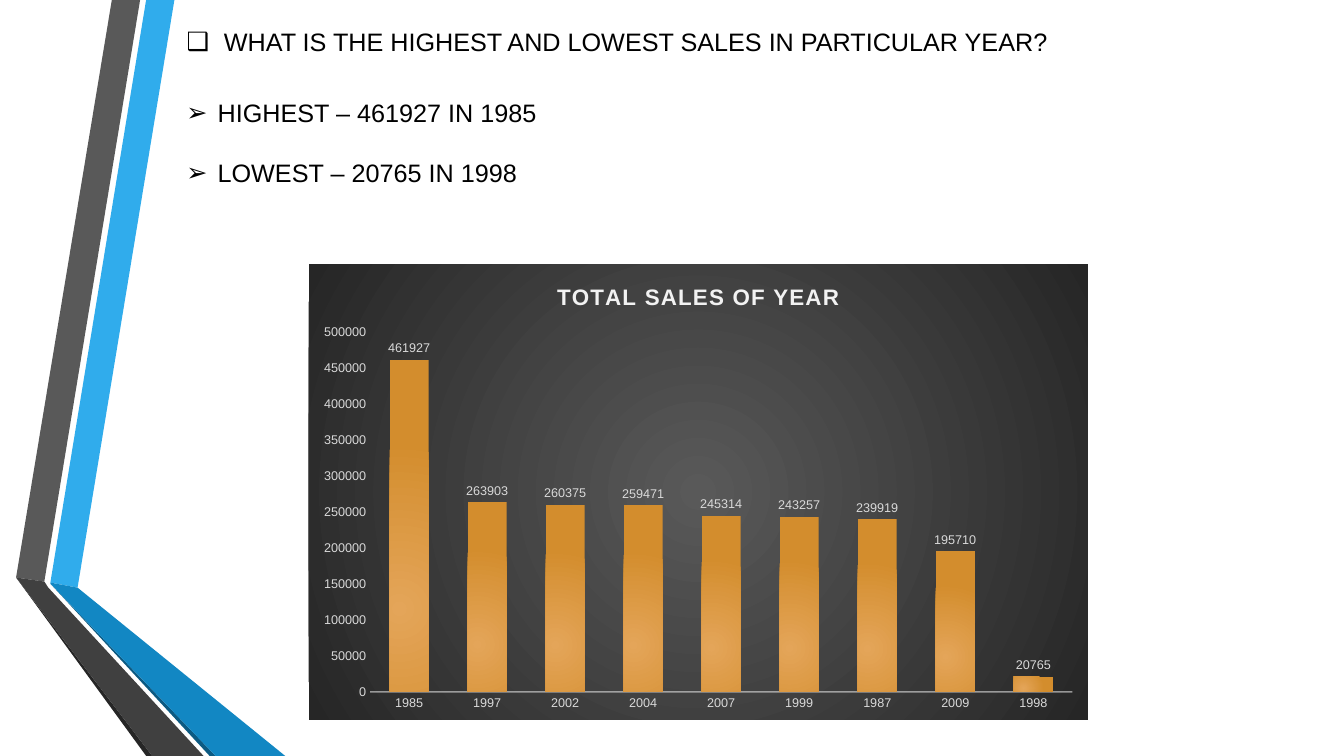
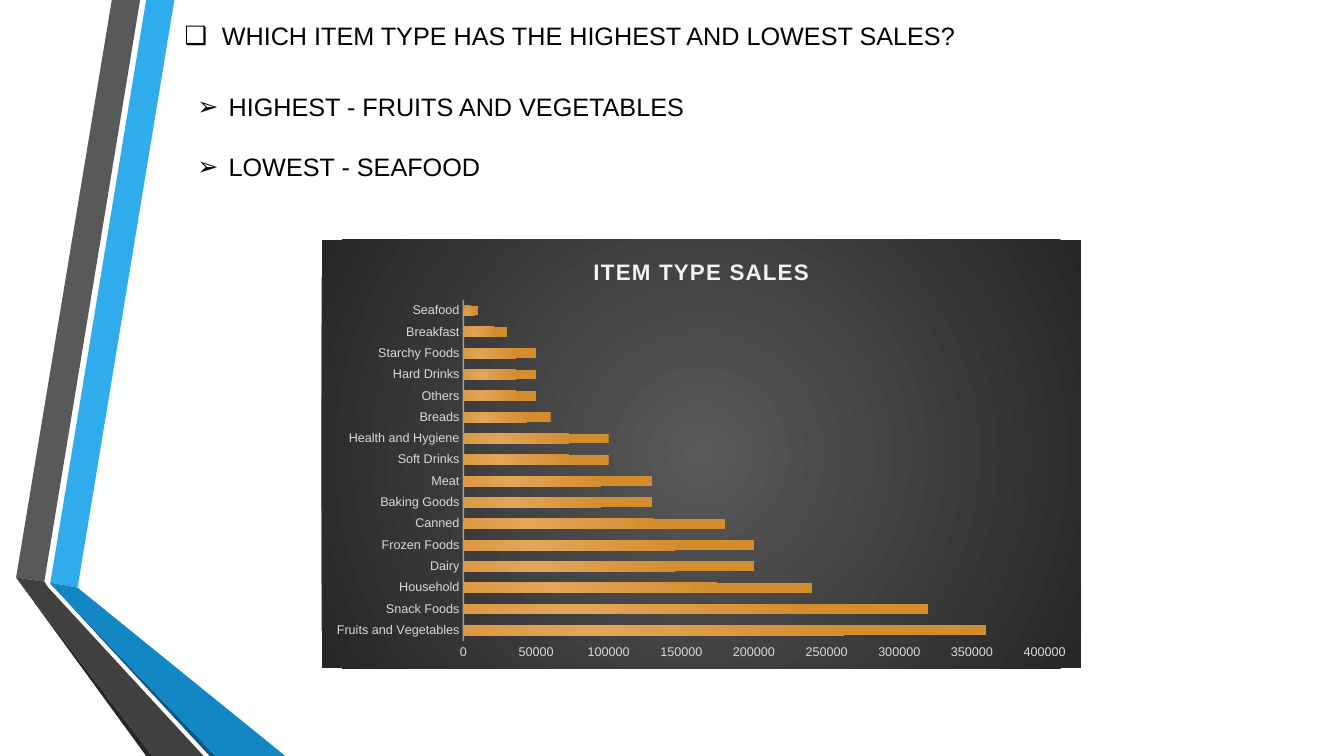
from lxml import etree
from pptx import Presentation
from pptx.chart.data import CategoryChartData
from pptx.dml.color import RGBColor
from pptx.enum.chart import XL_CHART_TYPE, XL_LABEL_POSITION, XL_TICK_MARK
from pptx.enum.text import MSO_ANCHOR, MSO_AUTO_SIZE, PP_ALIGN
from pptx.oxml import parse_xml
from pptx.oxml.ns import nsdecls, qn
from pptx.util import Inches, Pt

COLUMN = XL_CHART_TYPE.COLUMN_CLUSTERED
BAR = XL_CHART_TYPE.BAR_CLUSTERED
OUTSIDE_END = XL_LABEL_POSITION.OUTSIDE_END
NO_TICKS = XL_TICK_MARK.NONE
TOP, LEFT, NO_AUTOSIZE = MSO_ANCHOR.TOP, PP_ALIGN.LEFT, MSO_AUTO_SIZE.NONE

# Shared look
BLACK = RGBColor(0x00, 0x00, 0x00)
PALE = RGBColor(0xF2, 0xF2, 0xF2)
LABEL_GREY = RGBColor(0xD9, 0xD9, 0xD9)
GREY = RGBColor(0x59, 0x59, 0x59)
CHARCOAL = RGBColor(0x40, 0x40, 0x40)
NEAR_BLACK = RGBColor(0x26, 0x26, 0x26)
SKY = RGBColor(0x30, 0xAC, 0xEC)
BLUE = RGBColor(0x12, 0x87, 0xC3)
NAVY = RGBColor(0x0C, 0x5A, 0x82)
LIGHT_ORANGE = RGBColor(0xE4, 0xA5, 0x59)
ORANGE = RGBColor(0xD3, 0x8D, 0x2D)

BODY_FONT = {"name": "Arial", "size": Pt(18), "bold": False}
AXIS_FONT = {"name": "Arial", "size": Pt(9)}
CHART_TITLE_FONT = {"name": "Arial", "size": Pt(16), "bold": True}
QUESTION_BULLET, ANSWER_BULLET = "\u2751", "\u27a2"
QUESTION_INDENT, ANSWER_INDENT = Inches(0.37), Inches(0.31)

# Folded ribbon at the left edge, in inches
RIBBON = [
    (SKY, [(0.5, 5.78), (0.77, 5.83), (1.73, 0), (1.45, 0)]),
    (GREY, [(1.39, 0), (1.11, 0), (0.16, 5.73), (0.44, 5.77)]),
    (NEAR_BLACK, [(0.16, 5.73), (1.45, 7.5), (1.51, 7.5)]),
    (NAVY, [(0.5, 5.79), (2.08, 7.5), (2.14, 7.5)]),
    (BLUE, [(0.5, 5.79), (2.14, 7.5), (2.83, 7.5), (0.77, 5.83), (0.5, 5.78)]),
    (CHARCOAL, [(2.02, 7.5), (0.48, 5.83), (0.44, 5.77), (0.16, 5.73), (1.51, 7.5)]),
]

YEAR_SALES = {
    "1985": 461927, "1997": 263903, "2002": 260375, "2004": 259471, "2007": 245314,
    "1999": 243257, "1987": 239919, "2009": 195710, "1998": 20765,
}
ITEM_SALES = {
    "Fruits and Vegetables": 360000, "Snack Foods": 320000, "Household": 240000,
    "Dairy": 200000, "Frozen Foods": 200000, "Canned": 180000,
    "Baking Goods": 130000, "Meat": 130000, "Soft Drinks": 100000,
    "Health and Hygiene": 100000, "Breads": 60000, "Others": 50000,
    "Hard Drinks": 50000, "Starchy Foods": 50000, "Breakfast": 30000,
    "Seafood": 10000,
}

SLIDES = [
    {
        "question": "WHAT IS THE HIGHEST AND LOWEST SALES IN PARTICULAR YEAR?",
        "question_box": (1.75, 0.21, 9.04, 0.71),
        "answers": ["HIGHEST \u2013 461927 IN 1985", "LOWEST \u2013 20765 IN 1998"],
        "answers_box": (1.75, 0.92, 4.48, 1.01),
        "chart_box": (3.06, 2.62, 7.73, 4.52),
        "chart": {"kind": COLUMN, "title": "TOTAL SALES OF YEAR", "sales": YEAR_SALES,
                  "maximum": 500000, "gap": 100, "overlap": -24, "labels": True},
    },
    {
        "question": "WHICH ITEM TYPE HAS THE HIGHEST AND LOWEST SALES?",
        "question_box": (1.73, 0.15, 8.7, 0.71),
        "answers": ["HIGHEST - FRUITS AND VEGETABLES", "LOWEST - SEAFOOD"],
        "answers_box": (1.86, 0.86, 6.34, 1.31),
        "chart_box": (3.19, 2.38, 7.53, 4.25),
        "chart": {"kind": BAR, "title": "ITEM TYPE SALES", "sales": ITEM_SALES,
                  "maximum": 400000, "gap": 115, "overlap": -20, "labels": False},
    },
]


def set_values(target, values):
    for name, value in values.items():
        setattr(target, name, value)


def format_font(font, values, color):
    set_values(font, values)
    font.color.rgb = color


def place(shape, box):
    set_values(shape, dict(zip(("left", "top", "width", "height"), map(Inches, box))))


def radial_gradient(inner, outer, focus):
    left, top, right, bottom = (percent * 1000 for percent in focus)
    return parse_xml(
        f'<a:gradFill {nsdecls("a")} rotWithShape="1"><a:gsLst>'
        f'<a:gs pos="0"><a:srgbClr val="{inner}"/></a:gs>'
        f'<a:gs pos="100000"><a:srgbClr val="{outer}"/></a:gs></a:gsLst>'
        f'<a:path path="circle"><a:fillToRect l="{left}" t="{top}" r="{right}" '
        f'b="{bottom}"/></a:path></a:gradFill>')


def add_ribbon(slide):
    """Draws the ribbon and moves it to the layout, so that all slides share it."""
    layout_tree = slide.slide_layout.shapes.element
    for color, corners in RIBBON:
        points = [(Inches(x), Inches(y)) for x, y in corners]
        builder = slide.shapes.build_freeform(*points[0])
        builder.add_line_segments(points[1:], close=True)
        facet = builder.convert_to_shape()
        facet.shadow.inherit = False
        facet.fill.solid()
        facet.fill.fore_color.rgb = color
        facet.line.fill.background()
        layout_tree.append(facet.element)


def write_bullets(shape, lines, bullet, indent):
    frame = shape.text_frame
    set_values(frame, {"word_wrap": True, "auto_size": NO_AUTOSIZE, "vertical_anchor": TOP})
    frame.text = "\n".join(lines)
    for paragraph in frame.paragraphs:
        set_values(paragraph, {"alignment": LEFT, "space_after": Pt(21)})
        format_font(paragraph.runs[0].font, BODY_FONT, BLACK)
        properties = paragraph._p.get_or_add_pPr()
        properties.set("marL", str(indent))
        properties.set("indent", str(-indent))
        etree.SubElement(properties, qn("a:buFont")).set("typeface", "Arial")
        etree.SubElement(properties, qn("a:buChar")).set("char", bullet)


def add_question(slide, text, box):
    place(slide.shapes.title, box)
    write_bullets(slide.shapes.title, [text], QUESTION_BULLET, QUESTION_INDENT)


def add_answers(slide, lines, box):
    text_box = slide.shapes.add_textbox(*map(Inches, box))
    write_bullets(text_box, lines, ANSWER_BULLET, ANSWER_INDENT)


def format_axes(chart, maximum):
    for axis in (chart.category_axis, chart.value_axis):
        set_values(axis, {"major_tick_mark": NO_TICKS, "minor_tick_mark": NO_TICKS,
                          "has_major_gridlines": False})
        format_font(axis.tick_labels.font, AXIS_FONT, LABEL_GREY)
    set_values(chart.value_axis, {"minimum_scale": 0, "maximum_scale": maximum,
                                  "major_unit": 50000})
    chart.value_axis.format.line.fill.background()
    line = chart.category_axis.format.line
    line.width = Pt(1)
    line.color.rgb = PALE
    line_color = chart.category_axis._element.find(f'.//{qn("a:ln")}//{qn("a:srgbClr")}')
    etree.SubElement(line_color, qn("a:alpha")).set("val", "54000")


def add_sales_chart(slide, box, kind, title, sales, maximum, gap, overlap, labels):
    data = CategoryChartData()
    data.categories = list(sales)
    data.add_series("Series 1", list(sales.values()))
    chart = slide.shapes.add_chart(kind, *map(Inches, box), data).chart
    chart.has_legend = False
    format_font(chart.font, {"name": "Arial", "size": Pt(10)}, BLACK)

    # Title
    chart.has_title = True
    chart.chart_title.include_in_layout = False
    chart.chart_title.text_frame.text = title
    run = chart.chart_title.text_frame.paragraphs[0].runs[0]
    format_font(run.font, CHART_TITLE_FONT, PALE)
    run._r.get_or_add_rPr().set("spc", "100")

    # Dark panel
    panel = parse_xml(f'<c:spPr {nsdecls("c", "a")}><a:ln><a:noFill/></a:ln></c:spPr>')
    panel.insert(0, radial_gradient(GREY, NEAR_BLACK, (50, 50, 50, 50)))
    chart.element.find(qn("c:chart")).addnext(panel)

    # Bars
    plot = chart.plots[0]
    set_values(plot, {"gap_width": gap, "overlap": overlap, "vary_by_categories": False})
    for series in chart.element.iter(qn("c:ser")):
        series.get_or_add_spPr().append(
            radial_gradient(LIGHT_ORANGE, ORANGE, (50, 100, 100, 50)))
    if labels:
        plot.has_data_labels = True
        set_values(plot.data_labels, {"show_value": True, "position": OUTSIDE_END})
        format_font(plot.data_labels.font, AXIS_FONT, LABEL_GREY)
    format_axes(chart, maximum)


def add_sales_slide(presentation, content):
    slide = presentation.slides.add_slide(presentation.slide_layouts[5])
    add_question(slide, content["question"], content["question_box"])
    add_sales_chart(slide, content["chart_box"], **content["chart"])
    add_answers(slide, content["answers"], content["answers_box"])
    return slide


presentation = Presentation()
set_values(presentation, {"slide_width": Inches(13.33), "slide_height": Inches(7.5)})
slides = [add_sales_slide(presentation, content) for content in SLIDES]
add_ribbon(slides[0])
presentation.save("out.pptx")
